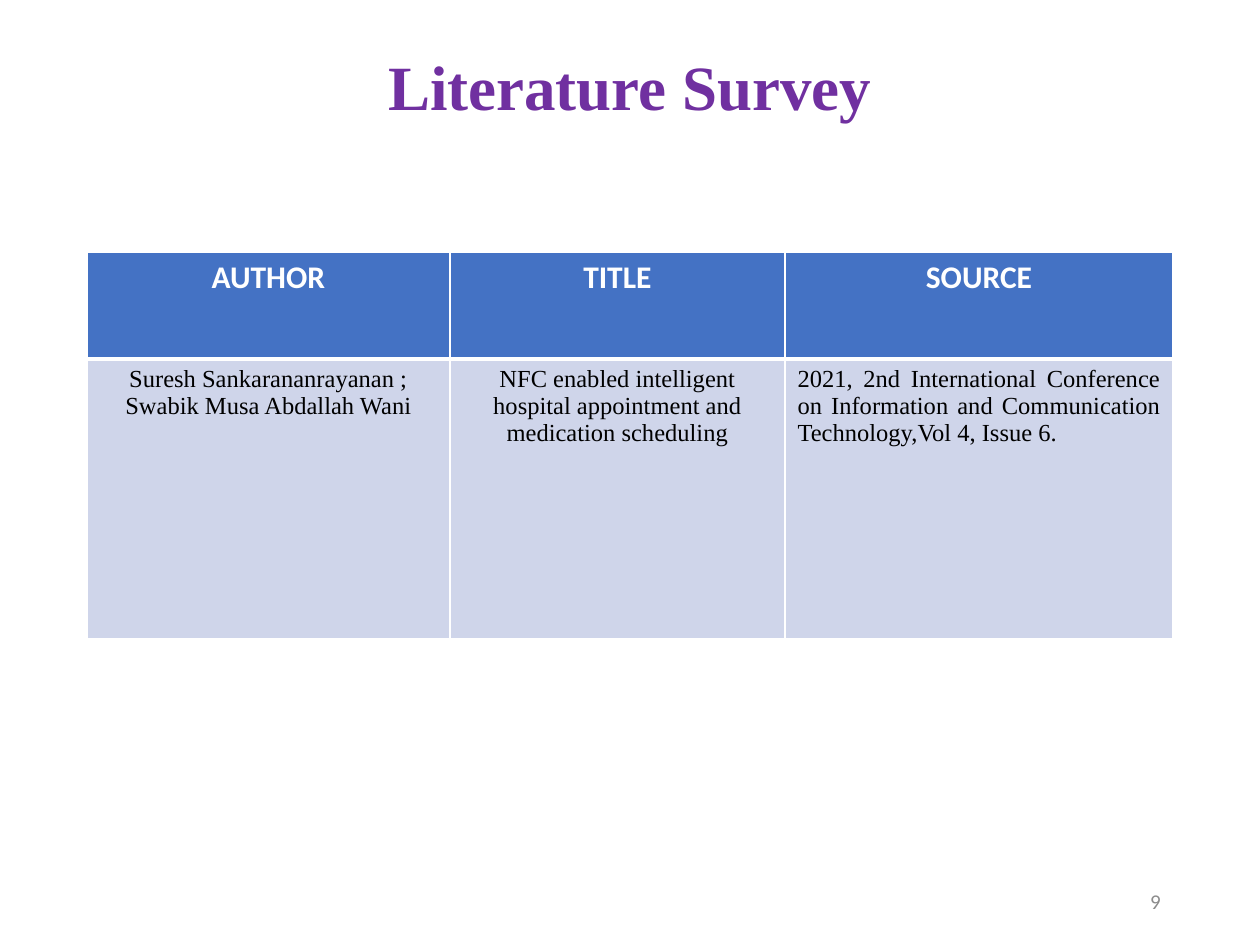
from lxml import etree
from pptx import Presentation
from pptx.dml.color import RGBColor
from pptx.enum.text import MSO_ANCHOR as Anchor, PP_ALIGN as Align
from pptx.oxml.ns import qn
from pptx.util import Inches, Pt


def style(paragraph, font_name, size, color, align, bold=False):
    paragraph.alignment = align
    for run in paragraph.runs:
        run.font.name = font_name
        run.font.size = Pt(size)
        run.font.bold = bold
        run.font.color.rgb = RGBColor.from_string(color)


def add_border(cell, side, width, color):
    line = etree.SubElement(cell._tc.get_or_add_tcPr(), qn(f"a:ln{side}"), w=str(Pt(width)))
    fill = etree.SubElement(line, qn("a:solidFill"))
    etree.SubElement(fill, qn("a:srgbClr"), val=color)


prs = Presentation()
prs.slide_width, prs.slide_height = Inches(10), Inches(7.5)
slide = prs.slides.add_slide(prs.slide_layouts[5])

# Title
title = slide.shapes.title
title.left, title.top = Inches(0.69), Inches(0.4)
title.width, title.height = Inches(8.62), Inches(0.63)
title.text_frame.text = "Literature Survey"
title.text_frame.vertical_anchor = Anchor.MIDDLE
title.text_frame.paragraphs[0].line_spacing = 0.9
style(title.text_frame.paragraphs[0], "Times New Roman", 36, "7030A0", Align.CENTER, bold=True)

# Survey table
survey_rows = [
    ["AUTHOR", "TITLE", "SOURCE"],
    [
        "Suresh Sankarananrayanan ; Swabik Musa Abdallah Wani",
        "NFC enabled intelligent hospital appointment and medication scheduling",
        "2021, 2nd International Conference on Information and Communication "
        "Technology,Vol 4, Issue 6.",
    ],
]
survey = slide.shapes.add_table(
    2, 3, Inches(0.69), Inches(2), Inches(8.62), Inches(3.07)
).table
for column, width in zip(survey.columns, [2.88, 2.66, 3.08]):
    column.width = Inches(width)
for row, height in zip(survey.rows, [0.85, 2.22]):
    row.height = Inches(height)

for r, texts in enumerate(survey_rows):
    is_header = r == 0
    for c, text in enumerate(texts):
        cell = survey.cell(r, c)
        cell.text_frame.text = text
        paragraph = cell.text_frame.paragraphs[0]
        if is_header:
            style(paragraph, "Calibri", 18, "FFFFFF", Align.CENTER, bold=True)
        else:
            align = Align.JUSTIFY if c == 2 else Align.CENTER
            style(paragraph, "Times New Roman", 14, "000000", align)
        header_rule = "B" if is_header else "T"
        for side in "LRTB":
            add_border(cell, side, 3 if side == header_rule else 1, "FFFFFF")
        cell.fill.solid()
        cell.fill.fore_color.rgb = RGBColor.from_string("4472C4" if is_header else "CFD5EA")

# Page number
page_number = slide.shapes.add_textbox(
    Inches(7.06), Inches(6.95), Inches(2.25), Inches(0.4)
).text_frame
page_number.word_wrap = True
page_number.vertical_anchor = Anchor.MIDDLE
page_number.text = "9"
style(page_number.paragraphs[0], "Calibri", 12, "8C8C8C", Align.RIGHT)

prs.save("out.pptx")
